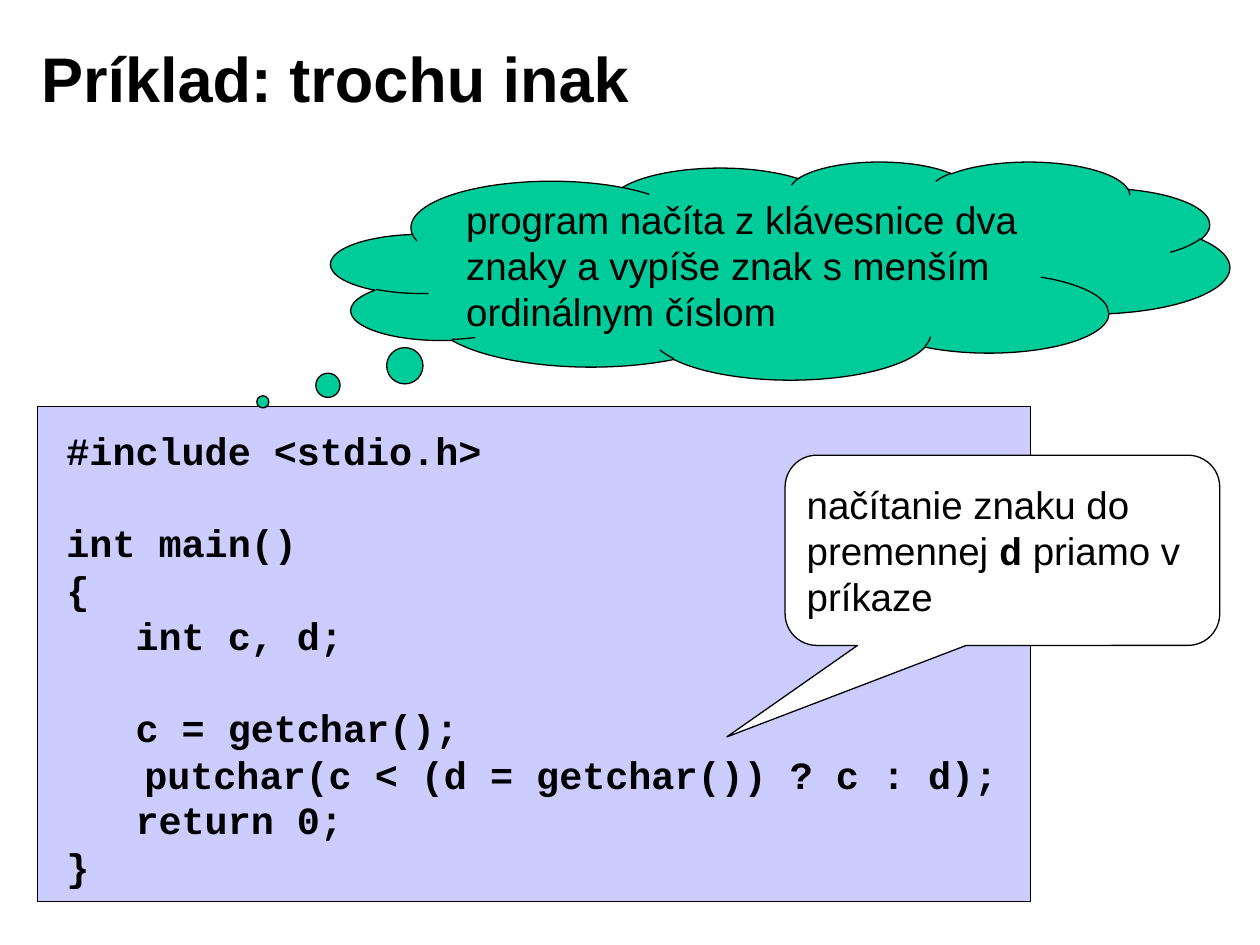
import pptx
import pptx.util
import pptx.dml.color
import pptx.enum.shapes
import pptx.enum.text

Pt = pptx.util.Pt
RGB = pptx.dml.color.RGBColor.from_string
SHAPE = pptx.enum.shapes.MSO_SHAPE
ANCHOR = pptx.enum.text.MSO_ANCHOR
AUTO_SIZE = pptx.enum.text.MSO_AUTO_SIZE
LEFT = pptx.enum.text.PP_ALIGN.LEFT

# Content: a paragraph is a list of (text, style) runs
TITLE = [[("Príklad: trochu inak", "title")]]
# Code blocks: the height of one line is left open between them
CODE_BLOCKS = [
    ["#include <stdio.h>"],
    ["int main()", "{", "   int c, d;"],
    ["   c = getchar();"],
    ["   return 0;", "}"],
]
PUTCHAR = [[("putchar(c < (d = getchar()) ? c : d);", "code")]]
TASK = [[("program načíta z klávesnice dva znaky a vypíše znak s menším "
          "ordinálnym číslom", "body")]]
HINT = [[("načítanie znaku do premennej ", "body"), ("d", "code"),
         (" priamo v príkaze", "body")]]

# Theme
THEME = {
    "ink": "000000", "code_fill": "CCCCFF", "cloud": "00CC99",
    "paper": "FFFFFF", "line": 0.75, "pitch": 26.4,
    "title": {"name": "Arial", "size": Pt(36), "bold": True},
    "body": {"name": "Arial", "size": Pt(22), "bold": False},
    "code": {"name": "Courier New", "size": Pt(22), "bold": True},
}

# Places: left, top, width, height
TITLE_BOX = (16.3, 10.8, 578.2, 67)
PANEL_BOX = (21.6, 232.4, 567.4, 282.6)
CODE_BOX = (31.5, 240.5, 252, 270.7)
PUTCHAR_BOX = (75.4, 425.4, 504, 33.8)
CLOUD_BOX = (189.2, 92.2, 513.4, 124.6)
HINT_BOX = (448.6, 260.1, 248.4, 108.7)


def write(s, paragraphs, anchor=ANCHOR.TOP, wrap=True, pitch=None, gaps=(),
          inset=7.2):
    """Fill a shape with text; gaps lists the paragraphs after an open line."""
    tf = s.text_frame
    tf.word_wrap = wrap
    tf.vertical_anchor = anchor
    tf.margin_left = tf.margin_right = Pt(inset)
    for i, runs in enumerate(paragraphs):
        p = tf.paragraphs[0] if i == 0 else tf.add_paragraph()
        p.alignment = LEFT
        if pitch:
            p.line_spacing = Pt(pitch)
        if i in gaps:
            p.space_before = Pt(pitch)
        for text, style in runs:
            r = p.add_run()
            r.text = text
            for key, value in THEME[style].items():
                setattr(r.font, key, value)
            r.font.color.rgb = RGB(THEME["ink"])


def add_box(slide, kind, box, fill, adjustments=()):
    s = slide.shapes.add_shape(kind, *map(Pt, box))
    s.shadow.inherit = False
    s.fill.solid()
    s.fill.fore_color.rgb = RGB(THEME[fill])
    s.line.color.rgb = RGB(THEME["ink"])
    s.line.width = Pt(THEME["line"])
    for i, value in enumerate(adjustments):
        s.adjustments[i] = value
    return s


def add_code(slide, box, paragraphs, gaps=(), inset=7.2):
    s = slide.shapes.add_textbox(*map(Pt, box))
    write(s, paragraphs, wrap=False, pitch=THEME["pitch"], gaps=gaps,
          inset=inset)
    s.text_frame.auto_size = AUTO_SIZE.SHAPE_TO_FIT_TEXT


def main():
    prs = pptx.Presentation()
    prs.slide_width, prs.slide_height = Pt(720), Pt(540)
    slide = prs.slides.add_slide(prs.slide_layouts[5])

    # Title
    title = slide.shapes.title
    title.left, title.top, title.width, title.height = map(Pt, TITLE_BOX)
    write(title, TITLE, ANCHOR.MIDDLE)

    # Program listing
    add_box(slide, SHAPE.RECTANGLE, PANEL_BOX, "code_fill")
    lines, gaps = [], []
    for block in CODE_BLOCKS:
        if lines:
            gaps.append(len(lines))
        lines += [[(line, "code")] for line in block]
    add_code(slide, CODE_BOX, lines, gaps, inset=6.5)

    # Task in the thought cloud
    cloud = add_box(slide, SHAPE.CLOUD_CALLOUT, CLOUD_BOX, "cloud",
                    (-0.576, 0.603))
    write(cloud, TASK, ANCHOR.MIDDLE, pitch=THEME["pitch"], inset=6.5)

    # Key statement, in the last open line, and its callout
    add_code(slide, PUTCHAR_BOX, PUTCHAR)
    hint = add_box(slide, SHAPE.ROUNDED_RECTANGULAR_CALLOUT, HINT_BOX, "paper",
                   (-0.634, 0.981, 0.167))
    write(hint, HINT, ANCHOR.MIDDLE, pitch=THEME["pitch"])

    prs.save("out.pptx")


if __name__ == "__main__":
    main()
